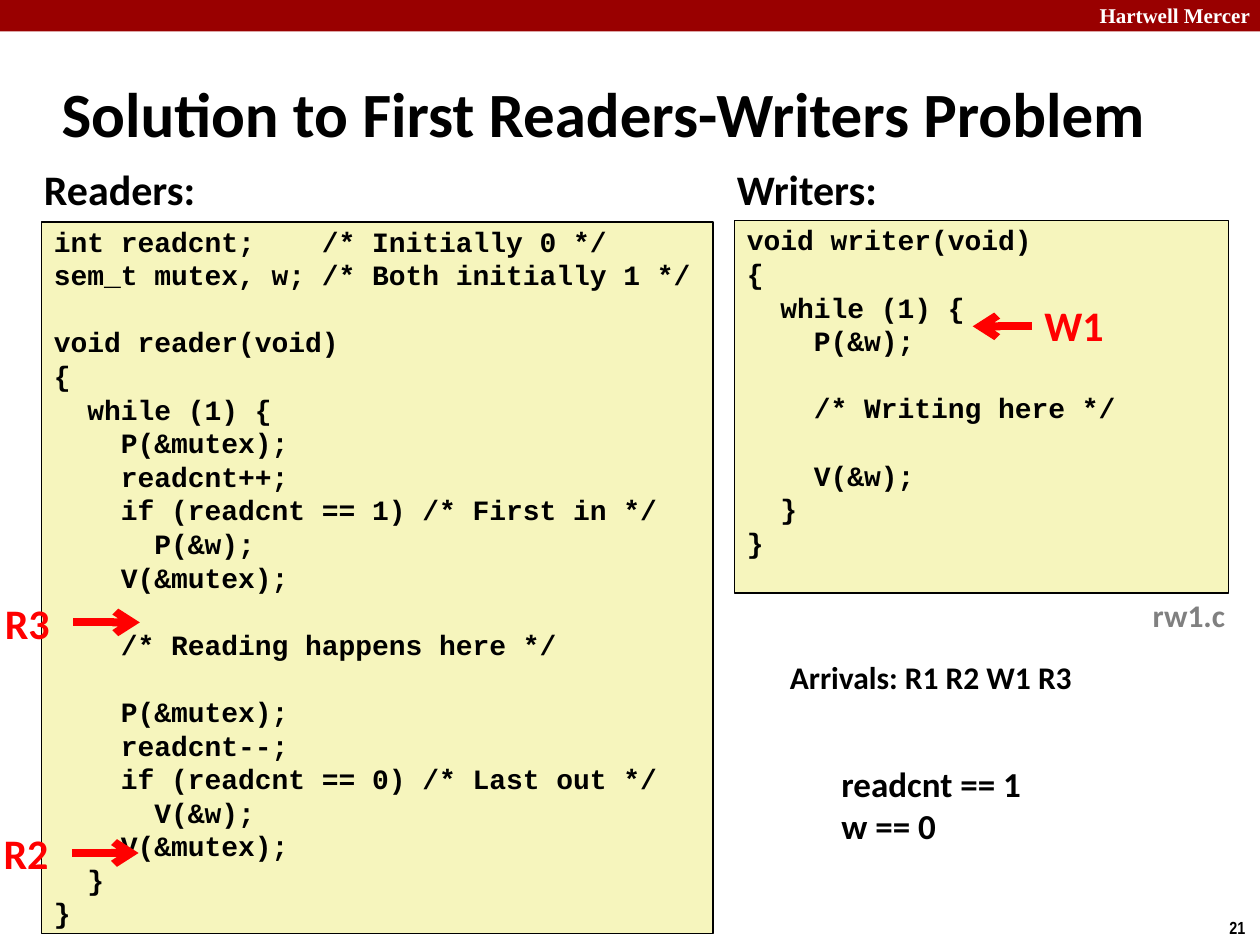
from lxml import etree
from pptx import Presentation
from pptx.dml.color import RGBColor
from pptx.enum.shapes import MSO_CONNECTOR, MSO_SHAPE
from pptx.enum.text import MSO_ANCHOR, PP_ALIGN
from pptx.oxml.ns import qn
from pptx.util import Inches, Pt

RECTANGLE = MSO_SHAPE.RECTANGLE
STRAIGHT = MSO_CONNECTOR.STRAIGHT
TOP, MIDDLE = MSO_ANCHOR.TOP, MSO_ANCHOR.MIDDLE
LEFT, RIGHT = PP_ALIGN.LEFT, PP_ALIGN.RIGHT

COLORS = {
    "banner": "990000",
    "code": "F6F5BD",
    "black": "000000",
    "white": "FFFFFF",
    "gray": "808080",
    "red": "FF0000",
}
CODE_LINE = Pt(19.2)

READER_CODE = """int readcnt;    /* Initially 0 */
sem_t mutex, w; /* Both initially 1 */

void reader(void)
{
  while (1) {
    P(&mutex);
    readcnt++;
    if (readcnt == 1) /* First in */
      P(&w);
    V(&mutex);

    /* Reading happens here */

    P(&mutex);
    readcnt--;
    if (readcnt == 0) /* Last out */
      V(&w);
    V(&mutex);
  }
}"""

WRITER_CODE = """void writer(void)
{
  while (1) {
    P(&w);

    /* Writing here */

    V(&w);
  }
}"""

LABELS = [
    ("Readers:", (0.25, 1.25, 1.41, 0.5), 24, "black"),
    ("Writers:", (5.75, 1.25, 1.32, 0.5), 24, "black"),
    ("rw1.c", (9.05, 4.68, 0.78, 0.4), 18, "gray"),
    ("Arrivals: R1 R2 W1 R3", (6.17, 5.17, 2.46, 0.4), 18, "black"),
    ("readcnt == 1\nw == 0", (6.58, 6, 1.64, 0.77), 20, "black"),
]

MARKERS = [
    ("R2", (-0.07, 6.52, 0.64, 0.5), 0.57, 1.1, 6.77),
    ("W1", (8.19, 2.33, 0.75, 0.5), 8.19, 7.72, 2.59),
    ("R3", (-0.06, 4.69, 0.64, 0.5), 0.58, 1.11, 4.94),
]


def rgb(name):
    return RGBColor.from_string(COLORS[name])


def apply_format(target, values):
    for name, value in values.items():
        setattr(target, name, value)


def write_paragraph(paragraph, text, size, color="black", font="Calibri", **layout):
    apply_format(paragraph, layout)
    run = paragraph.add_run()
    run.text = text
    apply_format(run.font, {"name": font, "size": Pt(size), "bold": True})
    run.font.color.rgb = rgb(color)


def next_paragraph(frame, index):
    return frame.add_paragraph() if index else frame.paragraphs[0]


def add_label(shapes, text, box, size, color="black", font="Calibri",
              align=LEFT, anchor=TOP, wrap=False):
    frame = shapes.add_textbox(*map(Inches, box)).text_frame
    apply_format(frame, {"word_wrap": wrap, "vertical_anchor": anchor})
    for index, line in enumerate(text.split("\n")):
        write_paragraph(next_paragraph(frame, index), line, size, color, font,
                        alignment=align)


def add_rectangle(shapes, box, fill):
    shape = shapes.add_shape(RECTANGLE, *map(Inches, box))
    shape.shadow.inherit = False
    shape.fill.solid()
    shape.fill.fore_color.rgb = rgb(fill)
    shape.line.fill.background()
    return shape


def add_code(shapes, code, box):
    shape = add_rectangle(shapes, box, "code")
    shape.line.color.rgb = rgb("black")
    shape.line.width = Pt(1)
    frame = shape.text_frame
    apply_format(frame, {
        "word_wrap": True, "vertical_anchor": TOP,
        "margin_left": Inches(0.1), "margin_right": Inches(0.1),
        "margin_top": Inches(0.02), "margin_bottom": 0,
    })
    index = 0
    for block_number, block in enumerate(code.split("\n\n")):
        for line_number, line in enumerate(block.split("\n")):
            opens_block = block_number > 0 and line_number == 0
            write_paragraph(next_paragraph(frame, index), line, 16,
                            font="Courier New", alignment=LEFT,
                            line_spacing=CODE_LINE,
                            space_before=CODE_LINE if opens_block else Pt(0))
            index += 1


def add_arrow(shapes, start, end, y):
    arrow = shapes.add_connector(STRAIGHT, *map(Inches, (start, y, end, y)))
    arrow.line.color.rgb = rgb("red")
    arrow.line.width = Pt(4.5)
    etree.SubElement(arrow.line._get_or_add_ln(), qn("a:tailEnd"), type="arrow")
    etree.SubElement(arrow._element.spPr, qn("a:effectLst"))


def add_marker(slide, text, box, start, end, y):
    group = slide.shapes.add_group_shape()
    add_label(group.shapes, text, box, 24, "red")
    add_arrow(group.shapes, start, end, y)


def main():
    presentation = Presentation()
    apply_format(presentation, {"slide_width": Inches(10), "slide_height": Inches(7.5)})
    slide = presentation.slides.add_slide(presentation.slide_layouts[6])
    shapes = slide.shapes

    add_rectangle(shapes, (0, 0, 10, 0.25), "banner")
    add_label(shapes, "Hartwell Mercer", (8.59, -0.03, 1.43, 0.3), 12, "white",
              "Times New Roman", align=RIGHT, wrap=True)
    add_label(shapes, "21", (9.66, 7.23, 0.34, 0.27), 10, font="Arial Narrow")
    add_label(shapes, "Solution to First Readers-Writers Problem",
              (0.39, 0.48, 9.36, 0.83), 36, anchor=MIDDLE, wrap=True)

    add_code(shapes, READER_CODE, (0.33, 1.76, 5.33, 5.65))
    add_code(shapes, WRITER_CODE, (5.83, 1.75, 3.92, 2.96))
    for label in LABELS:
        add_label(shapes, *label)
    for marker in MARKERS:
        add_marker(slide, *marker)

    presentation.save("out.pptx")


if __name__ == "__main__":
    main()
